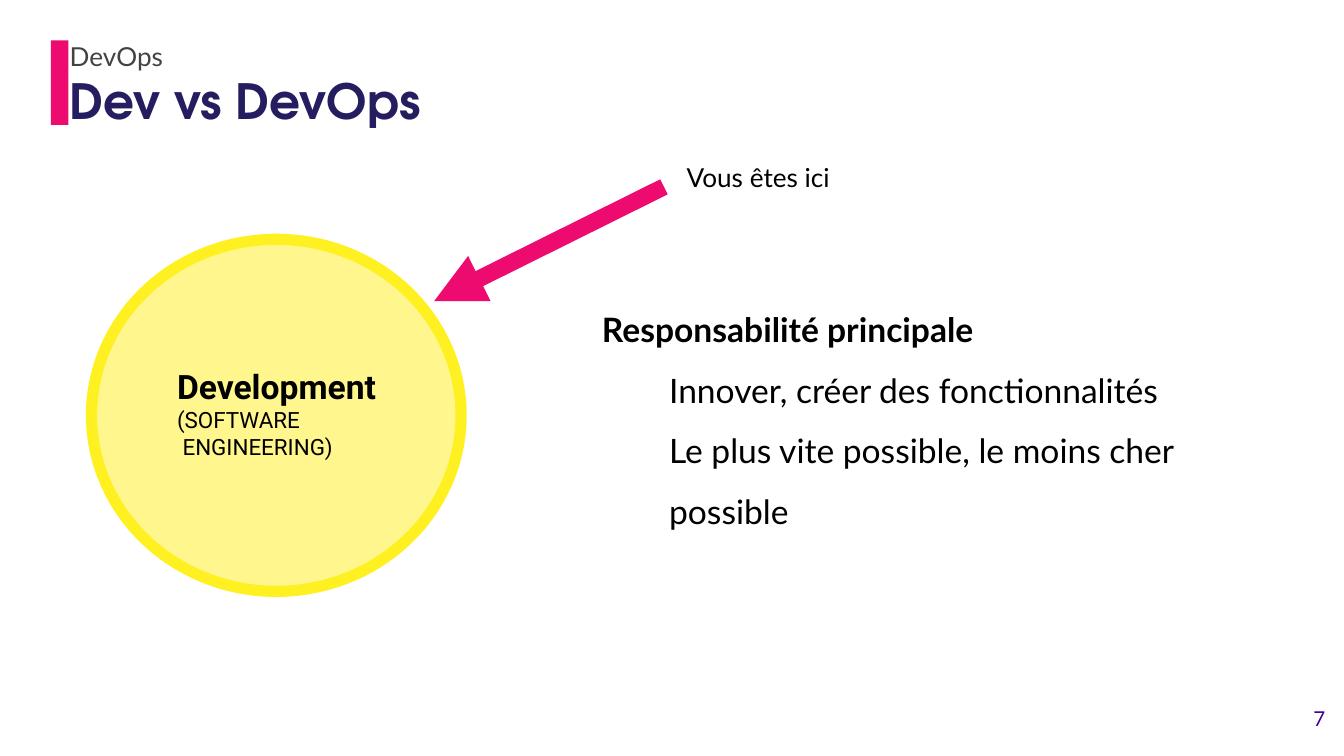
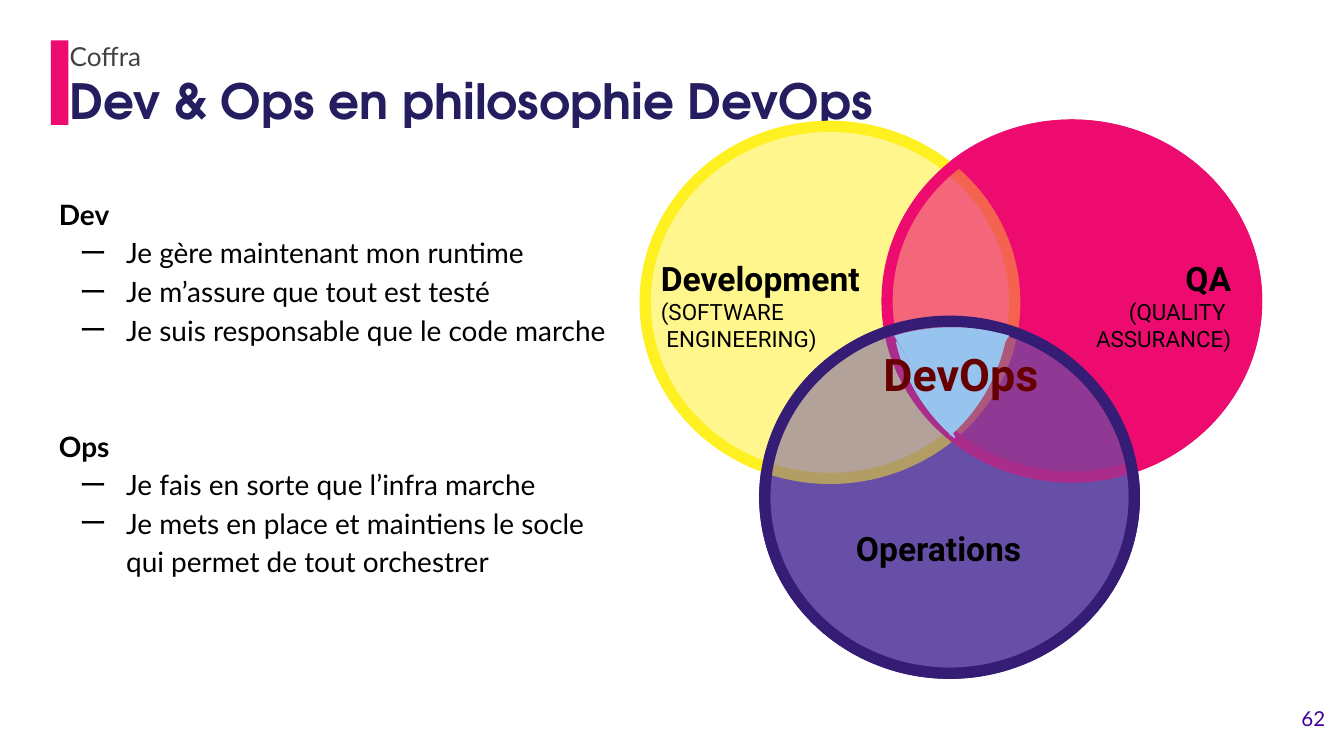
from dataclasses import dataclass, replace
from typing import Optional

from lxml import etree
from pptx import Presentation
from pptx import util as u
from pptx.dml.color import RGBColor
from pptx.enum import shapes, text
from pptx.oxml import ns

Pt = u.Pt
PINK = RGBColor(0xEE, 0x0B, 0x6F)
NAVY = RGBColor(0x24, 0x1D, 0x60)
GREY = RGBColor(0x43, 0x43, 0x43)
INDIGO = RGBColor(0x43, 0x00, 0x99)
YELLOW = RGBColor(0xFF, 0xF0, 0x21)
PALE_YELLOW = RGBColor(0xFF, 0xF7, 0x8D)
PURPLE = RGBColor(0x67, 0x4E, 0xA7)
DARK_PURPLE = RGBColor(0x35, 0x1C, 0x75)
SKY = RGBColor(0x97, 0xC4, 0xEE)
MAROON = RGBColor(0x66, 0x00, 0x00)
BLACK = RGBColor(0x00, 0x00, 0x00)

LATO, ROBOTO, ADVENTOR = "Lato", "Roboto", "TeX Gyre Adventor"
LEFT, CENTER, RIGHT = (text.PP_ALIGN.LEFT, text.PP_ALIGN.CENTER,
                       text.PP_ALIGN.RIGHT)
PRESET = shapes.MSO_SHAPE
CIRCLE_W, CIRCLE_H = 198, 188.6
INDENT, HANGING = 36, -25.2


@dataclass(frozen=True)
class Para:
    text: str
    size: float
    font: str = LATO
    color: RGBColor = BLACK
    bold: bool = False
    align: text.PP_ALIGN = LEFT
    spacing: Optional[float] = None
    before: float = 0
    indent: float = 0
    bullet: str = ""


@dataclass(frozen=True)
class Box:
    left: float
    top: float
    width: float
    height: float

    def lengths(self) -> list:
        return [Pt(v) for v in (self.left, self.top, self.width, self.height)]


@dataclass(frozen=True)
class Figure:
    box: Box
    fill: RGBColor
    line: Optional[RGBColor] = None
    weight: float = 6
    opacity: int = 100
    preset: PRESET = PRESET.OVAL
    rotation: float = 0
    adjust: tuple = ()


def add_child(parent, tag: str, **attrs: str):
    child = etree.SubElement(parent, ns.qn(tag))
    for key, value in attrs.items():
        child.set(key, value)
    return child


def add_bullet(p, para: Para) -> None:
    pPr = p._p.get_or_add_pPr()
    pPr.set("indent", str(Pt(HANGING)))
    add_child(add_child(pPr, "a:buClr"), "a:srgbClr", val=str(para.color))
    add_child(pPr, "a:buFont", typeface=para.font)
    add_child(pPr, "a:buChar", char=para.bullet)


def add_text(s, box: Box, paras: list[Para],
             anchor: text.MSO_ANCHOR = text.MSO_ANCHOR.TOP) -> None:
    tf = s.shapes.add_textbox(*box.lengths()).text_frame
    tf.word_wrap = True
    tf.vertical_anchor = anchor
    tf.margin_left = tf.margin_right = Pt(7.2)
    tf.margin_top = tf.margin_bottom = Pt(7.2)
    for i, para in enumerate(paras):
        p = tf.add_paragraph() if i else tf.paragraphs[0]
        p.alignment = para.align
        if para.spacing:
            p.line_spacing = para.spacing
        if para.before:
            p.space_before = Pt(para.before)
        if para.indent:
            p._p.get_or_add_pPr().set("marL", str(Pt(para.indent)))
        if para.bullet:
            add_bullet(p, para)
        r = p.add_run()
        r.text = para.text
        r.font.name, r.font.size = para.font, Pt(para.size)
        r.font.bold, r.font.color.rgb = para.bold, para.color


def add_figure(s, fig: Figure) -> None:
    sp = s.shapes.add_shape(fig.preset, *fig.box.lengths())
    sp.shadow.inherit = False
    sp.rotation = fig.rotation
    for i, value in enumerate(fig.adjust):
        sp.adjustments[i] = value
    sp.fill.solid()
    sp.fill.fore_color.rgb = fig.fill
    if fig.opacity < 100:
        color = sp._element.spPr.find(ns.qn("a:solidFill"))[0]
        add_child(color, "a:alpha", val=str(fig.opacity * 1000))
    if fig.line is None:
        sp.line.fill.background()
    else:
        sp.line.color.rgb = fig.line
        sp.line.width = Pt(fig.weight)


def add_arrow(s, start: tuple, end: tuple) -> None:
    cn = s.shapes.add_connector(shapes.MSO_CONNECTOR.STRAIGHT,
                                *(Pt(v) for v in start + end))
    cn.line.color.rgb = PINK
    cn.line.width = Pt(9)
    add_child(cn.line._get_or_add_ln(), "a:tailEnd", type="triangle")
    add_child(cn._element.spPr, "a:effectLst")


def circle(left: float, top: float, fill: RGBColor, line: RGBColor,
           opacity: int = 100) -> Figure:
    return Figure(Box(left, top, CIRCLE_W, CIRCLE_H), fill, line,
                  opacity=opacity)


def label(name: str, *details: str, align: text.PP_ALIGN = LEFT) -> list[Para]:
    head = Para(name, 18, ROBOTO, bold=True, align=align)
    return [head] + [Para(d, 12, ROBOTO, align=align) for d in details]


def new_slide(prs, section: str, title: str, number: int):
    """Blank slide with the side band, both titles and the page number."""
    s = prs.slides.add_slide(prs.slide_layouts[6])
    add_figure(s, Figure(Box(27.3, 21.6, 9.4, 45.4), PINK,
                         preset=PRESET.RECTANGLE))
    add_text(s, Box(30.2, 31, 671, 45.4),
             [Para(title, 26, ADVENTOR, NAVY, bold=True)])
    add_text(s, Box(30.2, 20.9, 671, 18.7), [Para(section, 14, color=GREY)],
             text.MSO_ANCHOR.MIDDLE)
    add_text(s, Box(673.9, 371.5, 43.2, 31),
             [Para(str(number), 11, color=INDIGO, align=RIGHT)])
    return s


DEVELOPMENT = label("Development", "(SOFTWARE", " ENGINEERING)")


def build_dev(prs) -> None:
    s = new_slide(prs, "DevOps", "Dev vs DevOps", 7)
    # Development circle and the arrow to it
    add_figure(s, circle(49, 128.2, PALE_YELLOW, YELLOW))
    add_text(s, Box(87.8, 188.6, 133.9, 59), DEVELOPMENT)
    add_arrow(s, (355.7, 100.1), (232.6, 161.3))
    add_text(s, Box(360.7, 79.2, 339.8, 39.6), [Para("Vous êtes ici", 14)])
    # Responsibilities
    duty = Para("Innover, créer des fonctionnalités", 18, spacing=1.5,
                indent=INDENT)
    add_text(s, Box(315.4, 147.6, 385.9, 159.8), [
        replace(duty, text="Responsabilité principale", bold=True, indent=0),
        duty,
        replace(duty, text="Le plus vite possible, le moins cher possible"),
    ])


def build_devops(prs) -> None:
    s = new_slide(prs, "Coffra", "Dev & Ops en philosophie DevOps", 62)
    # Three overlapping circles, with translucent copies for the overlaps
    qa = circle(475.2, 67, PINK, PINK)
    operations = circle(409.7, 172.1, PURPLE, DARK_PURPLE)
    development = circle(345.6, 67.7, PALE_YELLOW, YELLOW)
    for fig in (qa, operations, development, replace(qa, opacity=61)):
        add_figure(s, fig)
    add_text(s, Box(515.5, 131, 151.2, 51.8),
             label("QA", "(QUALITY ", "ASSURANCE)", align=RIGHT))
    add_text(s, Box(347, 131, 189.4, 51.8), DEVELOPMENT)
    add_figure(s, replace(operations, opacity=50))
    add_text(s, Box(408.2, 275.8, 189.4, 51.8),
             label("Operations", align=CENTER))

    # Shared centre: a triangle with a chord on each side
    core = Figure(Box(479.5, 180, 60.5, 51.1), SKY, SKY, 0.75,
                  preset=PRESET.ISOSCELES_TRIANGLE, rotation=180)
    for box, rotation, adjust in (
        (Box(415.4, 175.7, 189.4, 168.5), 0.3, (149.49, 174.28)),
        (Box(361.4, 78.5, 181.4, 175), 117.7, (152.07, 175.18)),
        (Box(475.2, 78.5, 182.9, 175), 236.5, (151.45, 175.36)),
    ):
        add_figure(s, replace(core, box=box, preset=PRESET.CHORD,
                              rotation=rotation, adjust=adjust))
    add_figure(s, core)
    add_text(s, Box(439.2, 178.6, 151.2, 51.8),
             [Para("DevOps", 24, ROBOTO, MAROON, bold=True, align=CENTER)])

    # Roles
    head = Para("Dev", 15, bold=True, spacing=1.15)
    item = replace(head, bold=False, indent=INDENT, bullet="ー")
    add_text(s, Box(24.5, 95.8, 671, 269.3), [
        head,
        replace(item, text="Je gère maintenant mon runtime"),
        replace(item, text="Je m’assure que tout est testé"),
        replace(item, text="Je suis responsable que le code marche"),
        replace(head, text="Ops", before=41.4),
        replace(item, text="Je fais en sorte que l’infra marche"),
        replace(item, text="Je mets en place et maintiens le socle"),
        replace(item, text="qui permet de tout orchestrer", bullet=""),
    ])


def main() -> None:
    prs = Presentation()
    prs.slide_width, prs.slide_height = Pt(720), Pt(405)
    build_dev(prs)
    build_devops(prs)
    prs.save("out.pptx")


if __name__ == "__main__":
    main()
